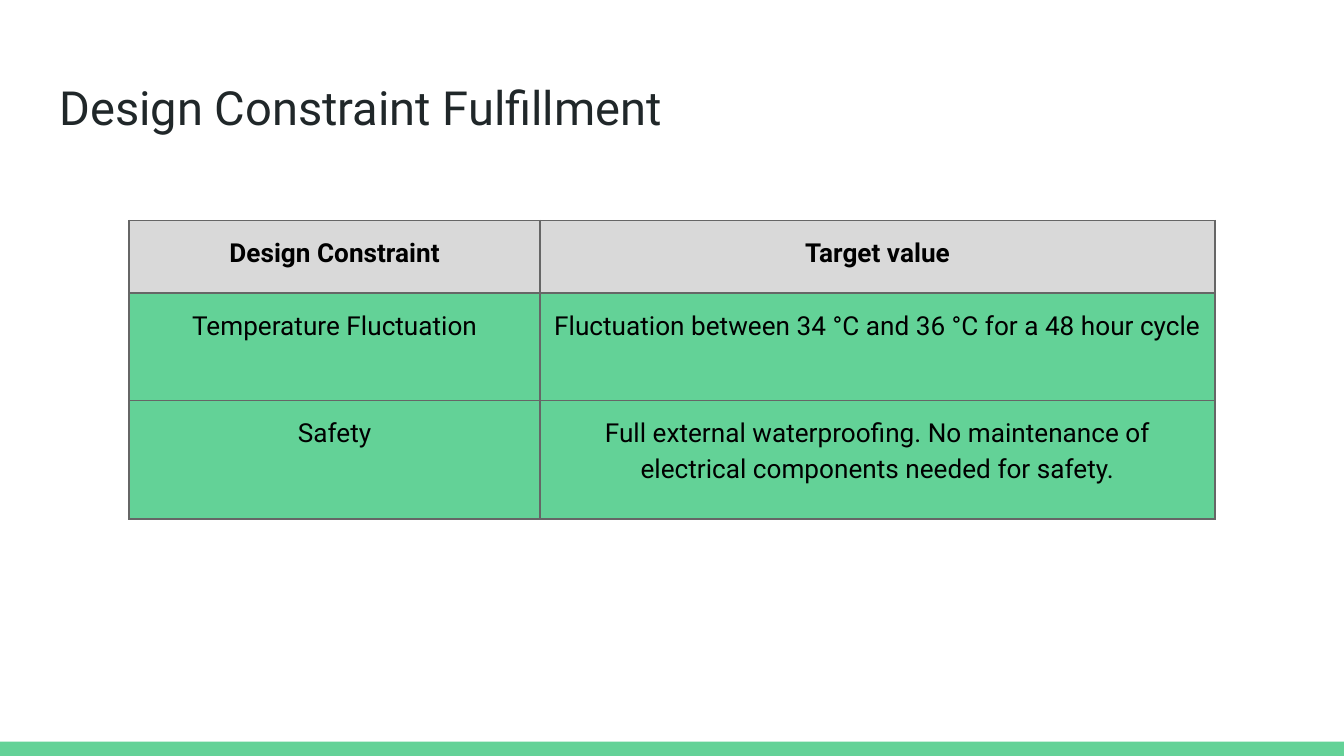
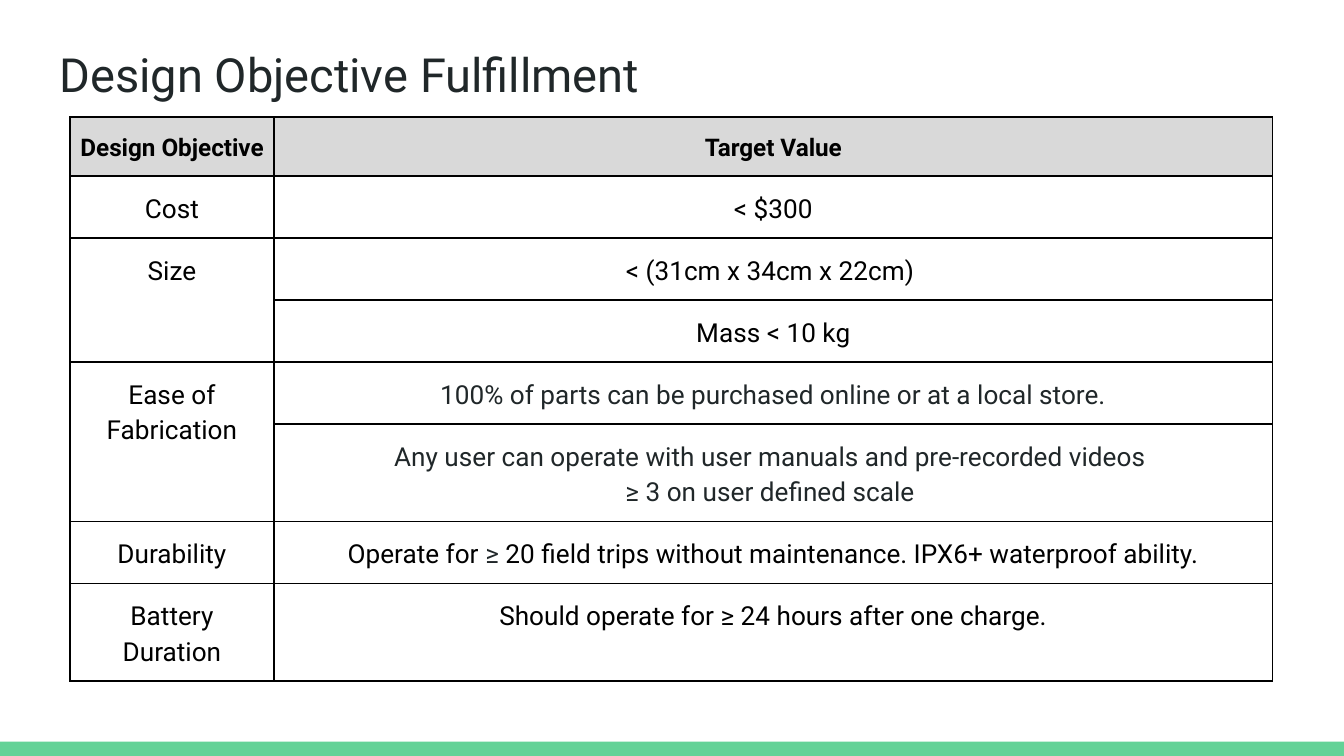
from lxml.etree import SubElement
from pptx import Presentation
from pptx.dml.color import RGBColor
from pptx.enum.shapes import MSO_SHAPE
from pptx.enum.text import MSO_ANCHOR, MSO_AUTO_SIZE, PP_ALIGN
from pptx.oxml.ns import qn
from pptx.util import Cm, Pt

FONT = "Roboto"
GREEN = "63D297"
GREY = "D9D9D9"
SLATE = "202729"
BLACK = "000000"
BORDER_GREY = "666666"
TITLE_ONLY = 5

CONSTRAINTS = [
    ["Design Constraint", "Target value"],
    ["Temperature Fluctuation", "Fluctuation between 34 °C and 36 °C for a 48 hour cycle"],
    ["Safety", "Full external waterproofing. No maintenance of electrical components needed for safety."],
]

# None continues the cell above; text between bars is slate
OBJECTIVES = [
    ["Design Objective", "Target Value"],
    ["Cost", "< $300"],
    ["Size", "< (31cm x 34cm x 22cm) "],
    [None, "Mass < 10 kg"],
    ["Ease of Fabrication", "|100% of parts can be purchased online or at a local store.|"],
    [None, "|Any user can operate with user manuals and pre-recorded videos |\n|≥ 3 on user defined scale |"],
    ["Durability", "Operate for |≥| 20 field trips without maintenance. IPX6+ waterproof ability."],
    ["Battery Duration", "Should operate for ≥ 24 hours after one charge."],
]


def color(value):
    return RGBColor.from_string(value)


def set_font(font, size, bold, tint):
    font.name = FONT
    font.size = Pt(size)
    font.bold = bold
    font.color.rgb = color(tint)


def add_band(slide):
    band = slide.shapes.add_shape(MSO_SHAPE.RECTANGLE, 0, Cm(14.02), Cm(25.4), Cm(0.27))
    band.shadow.inherit = False
    band.fill.solid()
    band.fill.fore_color.rgb = color(GREEN)
    band.line.fill.background()


def set_title(slide, text, top):
    title = slide.shapes.title
    title.left, title.top, title.width, title.height = Cm(0.87), Cm(top), Cm(23.67), Cm(1.6)
    frame = title.text_frame
    frame.margin_left = frame.margin_right = frame.margin_top = frame.margin_bottom = Cm(0.25)
    frame.auto_size = MSO_AUTO_SIZE.NONE
    frame.vertical_anchor = MSO_ANCHOR.TOP
    frame.text = text
    heading = frame.paragraphs[0]
    heading.alignment = PP_ALIGN.LEFT
    set_font(heading.font, 25.2, False, SLATE)


def add_slide(deck, title, title_top):
    slide = deck.slides.add_slide(deck.slide_layouts[TITLE_ONLY])
    add_band(slide)
    set_title(slide, title, title_top)
    return slide


def set_borders(cell, tint):
    properties = cell._tc.get_or_add_tcPr()
    for side in ("a:lnL", "a:lnR", "a:lnT", "a:lnB"):
        border = SubElement(properties, qn(side), w=str(Pt(1)))
        fill = SubElement(border, qn("a:solidFill"))
        SubElement(fill, qn("a:srgbClr"), val=tint)


def set_fill(cell, tint):
    if tint:
        cell.fill.solid()
        cell.fill.fore_color.rgb = color(tint)
    else:
        cell.fill.background()


def write_cell(cell, text, size, bold):
    cell.margin_left = cell.margin_right = Cm(0.18)
    cell.margin_top = cell.margin_bottom = Cm(0.25)
    frame = cell.text_frame
    for number, line in enumerate(text.split("\n")):
        paragraph = frame.add_paragraph() if number else frame.paragraphs[0]
        paragraph.alignment = PP_ALIGN.CENTER
        paragraph.line_spacing = 1.15
        set_font(paragraph.font, size, bold, BLACK)
        for position, part in enumerate(line.split("|")):
            if part:
                run = paragraph.add_run()
                run.text = part
                if position % 2:
                    run.font.color.rgb = color(SLATE)


def add_grid(slide, content, left, top, widths, heights, border, header_size, body_fill=None):
    grid = slide.shapes.add_table(len(heights), len(widths), Cm(left), Cm(top),
                                  Cm(sum(widths)), Cm(sum(heights))).table
    grid.first_row = grid.horz_banding = False
    for column, width in zip(grid.columns, widths):
        column.width = Cm(width)
    for row, height in zip(grid.rows, heights):
        row.height = Cm(height)
    for r, entries in enumerate(content):
        header = r == 0
        for c, text in enumerate(entries):
            cell = grid.cell(r, c)
            set_borders(cell, border)
            set_fill(cell, GREY if header else body_fill)
            if text is None:
                grid.cell(r - 1, c).merge(cell)
            else:
                write_cell(cell, text, header_size if header else 14, header)


def main():
    deck = Presentation()
    deck.slide_width, deck.slide_height = Cm(25.4), Cm(14.29)

    constraints = add_slide(deck, "Design Constraint Fulfillment", 1.24)
    add_grid(constraints, CONSTRAINTS, 2.44, 4.17, [7.77, 12.75], [1.37, 2.03, 2.24],
             BORDER_GREY, 14, GREEN)

    objectives = add_slide(deck, "Design Objective Fulfillment", 0.61)
    add_grid(objectives, OBJECTIVES, 1.32, 2.21, [3.86, 18.87],
             [1.09, 0.99, 1.14, 0.97, 0.99, 1.73, 0.97, 1.22], BLACK, 13)

    deck.save("out.pptx")


if __name__ == "__main__":
    main()
